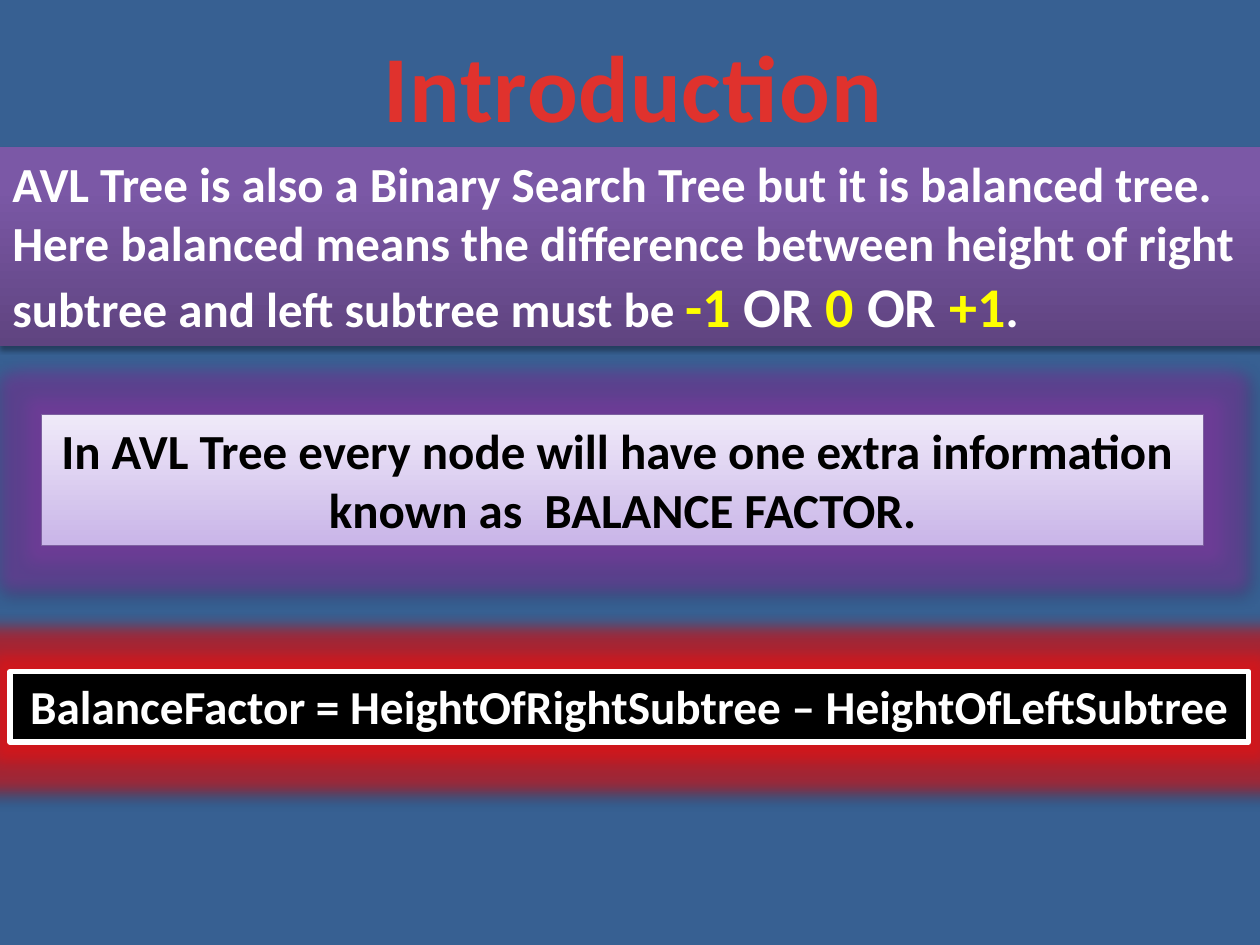
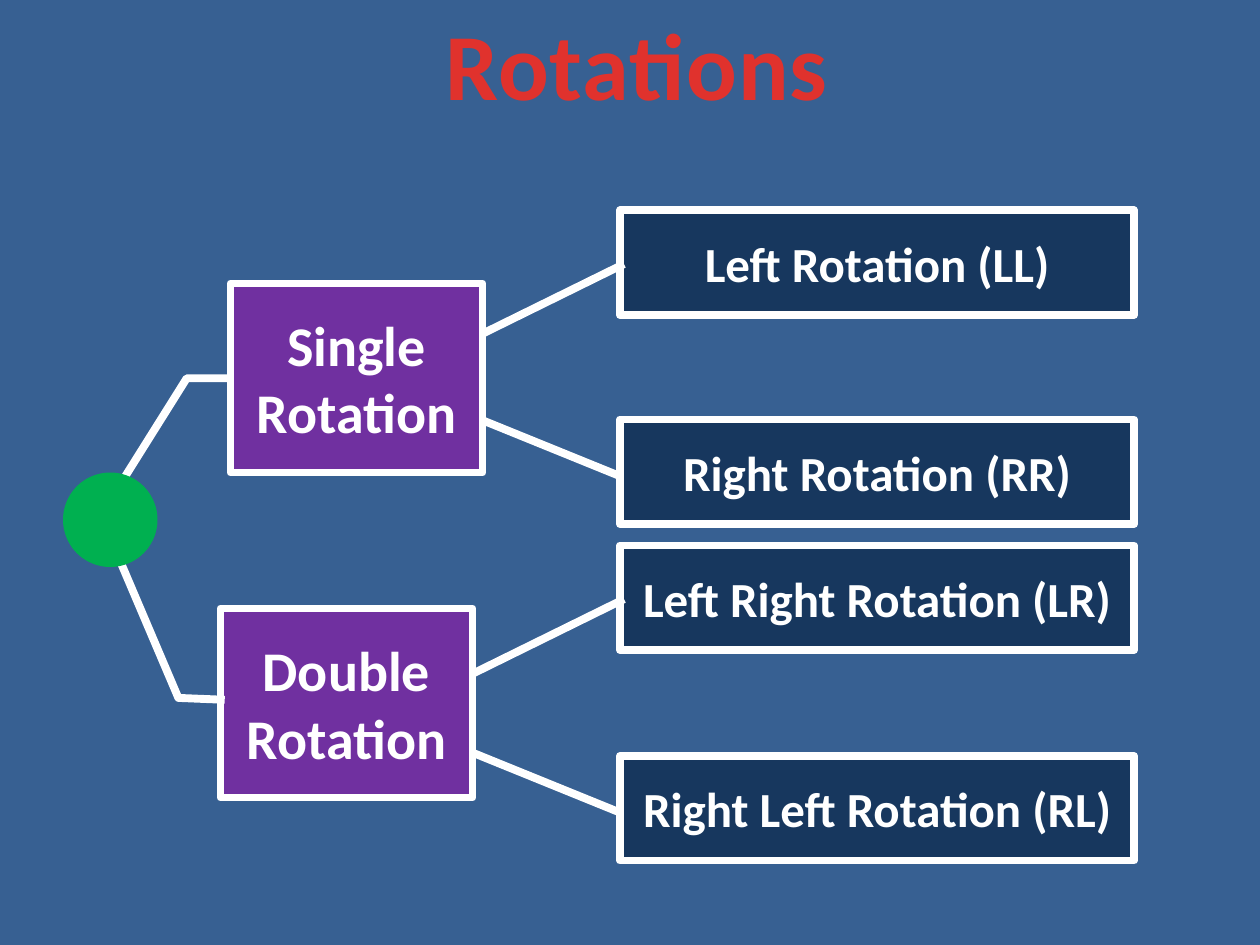
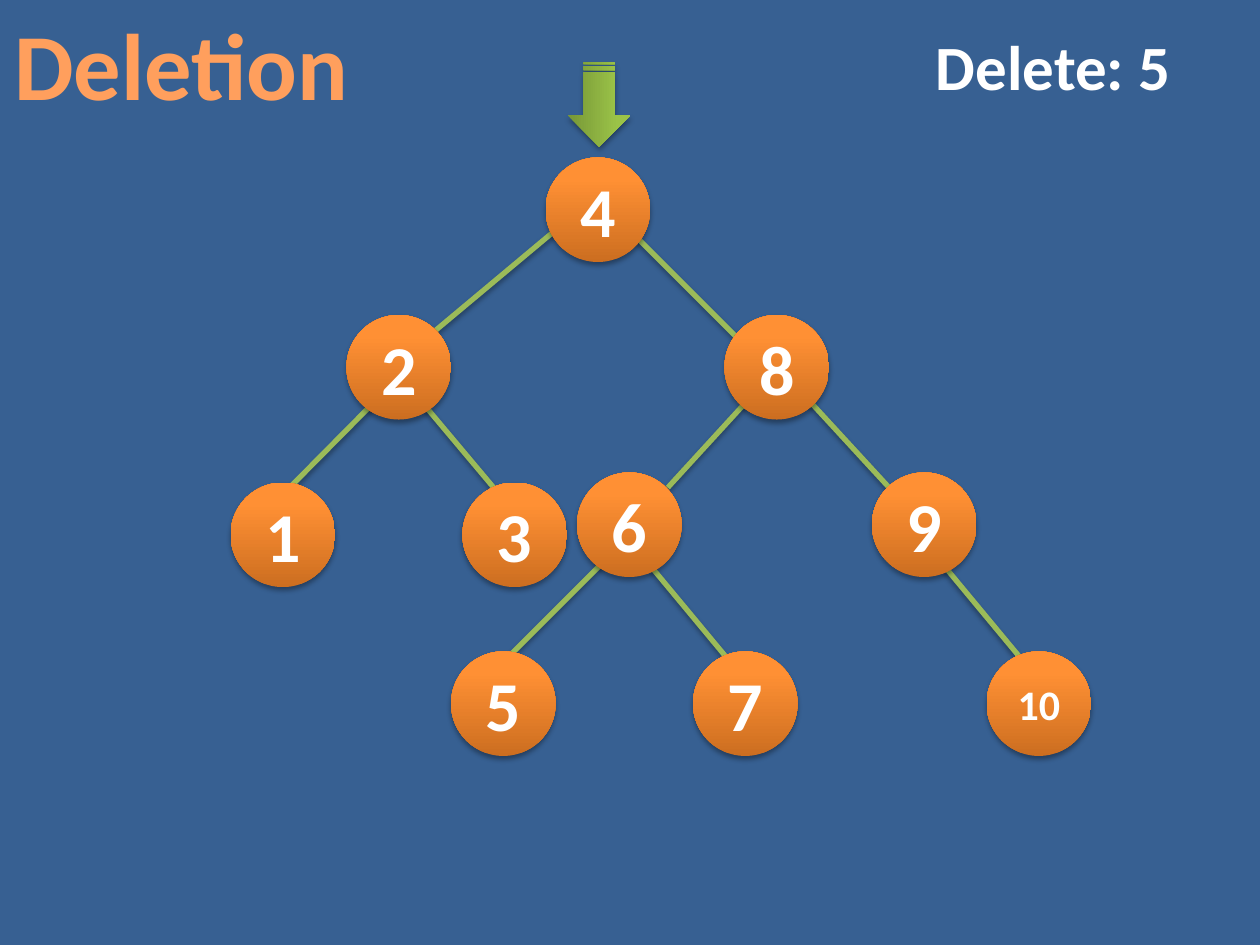
from dataclasses import dataclass
from typing import NamedTuple, Optional, Sequence, Union

import lxml.etree
import pptx
import pptx.dml.color
import pptx.enum.shapes
import pptx.enum.text
import pptx.oxml.ns
import pptx.util

Inches = pptx.util.Inches
Pt = pptx.util.Pt
RGBColor = pptx.dml.color.RGBColor
SHAPE = pptx.enum.shapes.MSO_SHAPE
ALIGN = pptx.enum.text.PP_ALIGN
ANCHOR = pptx.enum.text.MSO_ANCHOR
AUTO_SIZE = pptx.enum.text.MSO_AUTO_SIZE
qn = pptx.oxml.ns.qn

FONT = "Calibri"
BACKGROUND = RGBColor(0x37, 0x60, 0x92)
WHITE = RGBColor(0xFF, 0xFF, 0xFF)
BLACK = RGBColor(0x00, 0x00, 0x00)
YELLOW = RGBColor(0xFF, 0xFF, 0x00)
TITLE_RED = RGBColor(0xE0, 0x32, 0x2D)
TITLE_ORANGE = RGBColor(0xFF, 0x9F, 0x5D)
NAVY = RGBColor(0x17, 0x37, 0x5E)
PURPLE = RGBColor(0x70, 0x30, 0xA0)
ROOT_GREEN = RGBColor(0x00, 0xB0, 0x50)
EDGE_GREEN = RGBColor(0x9B, 0xBB, 0x59)
LILAC_BORDER = RGBColor(0x7D, 0x60, 0xA0)
GLOW_PURPLE = RGBColor(0x7A, 0x3C, 0xA0)
GLOW_RED = RGBColor(0xF0, 0x10, 0x10)


class Gradient(NamedTuple):
    """Colours from bottom to top; the top colour is reached at `end`."""
    bottom: RGBColor
    top: RGBColor
    end: float = 0.8


PURPLE_GRADIENT = Gradient(RGBColor(0x5F, 0x44, 0x80), RGBColor(0x7B, 0x58, 0xA6))
LILAC_GRADIENT = Gradient(RGBColor(0xC9, 0xB5, 0xE8), RGBColor(0xF0, 0xEA, 0xF9), 1)
ORANGE_GRADIENT = Gradient(RGBColor(0xCC, 0x6E, 0x20), RGBColor(0xFF, 0x90, 0x34))
GREEN_GRADIENT = Gradient(RGBColor(0x77, 0x97, 0x37), RGBColor(0x9B, 0xC3, 0x48))


class Box(NamedTuple):
    left: float
    top: float
    width: float
    height: float


class Run(NamedTuple):
    text: str
    size: Optional[float] = None
    color: Optional[RGBColor] = None


class Shadow(NamedTuple):
    opacity: int
    blur: float
    distance: float


STRONG_SHADOW = Shadow(35, 3.1, 1.8)
SOFT_SHADOW = Shadow(38, 3.1, 1.6)

Line = Union[str, Sequence[Run]]


@dataclass
class Banner:
    box: Box
    lines: Sequence[Line]
    size: float
    color: RGBColor
    fill: Union[RGBColor, Gradient]
    shadow: Shadow
    align: int = ALIGN.CENTER
    border: Optional[RGBColor] = None
    border_width: float = 0
    glow: Optional[RGBColor] = None
    wrap: bool = False


@dataclass
class Callout:
    """A bordered box whose leader line is set by `leader`."""
    box: Box
    lines: Sequence[str]
    kind: int
    size: float
    fill: RGBColor
    leader: Sequence[float]


class Node(NamedTuple):
    label: str
    left: float
    top: float
    size: float = 40


class Edge(NamedTuple):
    x1: float
    y1: float
    x2: float
    y2: float


BANNERS = [
    Banner(
        Box(0, 1.17, 10.03, 1.58),
        [
            "AVL Tree is also a Binary Search Tree but it is balanced tree.",
            "Here balanced means the difference between height of right",
            [
                Run("subtree and left subtree must be "),
                Run("-1 ", 32, YELLOW),
                Run("OR", 32),
                Run(" 0 ", 32, YELLOW),
                Run("OR", 32),
                Run(" +1", 32, YELLOW),
                Run("."),
            ],
        ],
        28, WHITE, PURPLE_GRADIENT, STRONG_SHADOW, align=ALIGN.LEFT,
    ),
    Banner(
        Box(0.33, 3.29, 9.22, 1.04),
        ["In AVL Tree every node will have one extra information ",
         "known as  BALANCE FACTOR."],
        28, BLACK, LILAC_GRADIENT, SOFT_SHADOW,
        border=LILAC_BORDER, border_width=0.75, glow=GLOW_PURPLE,
    ),
    Banner(
        Box(0.08, 5.33, 9.83, 0.56),
        ["BalanceFactor = HeightOfRightSubtree – HeightOfLeftSubtree"],
        27, WHITE, BLACK, SOFT_SHADOW,
        border=WHITE, border_width=3, glow=GLOW_RED, wrap=True,
    ),
]

LEADER_DOWN = (0.513, 0.008, 1.382, -0.351)
LEADER_UP = (0.547, 0.003, -0.144, -0.343)
ROTATION_KINDS = [
    (6, "Right Left Rotation (RL)", LEADER_UP),
    (4.33, "Left Right Rotation (LR)", LEADER_DOWN),
    (3.33, "Right Rotation (RR)", LEADER_UP),
    (1.67, "Left Rotation (LL)", LEADER_DOWN),
]
CALLOUTS = [
    Callout(Box(4.92, top, 4.08, 0.83), [name], SHAPE.LINE_CALLOUT_1, 28, NAVY, leader)
    for top, name, leader in ROTATION_KINDS
] + [
    Callout(Box(1.83, 2.25, 2, 1.5), ["Single", "Rotation"], SHAPE.LINE_CALLOUT_2,
            32, PURPLE, (0.502, -0.005, 0.502, -0.174, 1.125, -0.467)),
    Callout(Box(1.75, 4.83, 2, 1.5), ["Double", "Rotation"], SHAPE.LINE_CALLOUT_2,
            32, PURPLE, (0.483, 0.017, 0.473, -0.167, -0.332, -0.424)),
]

NODE_SIZE = 0.83
NODES = [
    Node("1", 1.83, 3.83),
    Node("2", 2.75, 2.5),
    Node("3", 3.67, 3.83),
    Node("4", 4.33, 1.25),
    Node("8", 5.75, 2.5),
    Node("5", 3.58, 5.17),
    Node("6", 4.58, 3.75),
    Node("7", 5.5, 5.17),
    Node("9", 6.92, 3.75),
    Node("10", 7.83, 5.17, 24),
]
EDGES = [
    Edge(6.33, 3.08, 7.25, 4.08),
    Edge(6.17, 2.92, 5.3, 3.87),
    Edge(3.08, 3.08, 2.17, 4),
    Edge(4.5, 1.75, 3.46, 2.62),
    Edge(3.33, 3.17, 4.17, 4.17),
    Edge(5, 1.83, 6, 2.83),
    Edge(4.83, 4.42, 3.92, 5.33),
    Edge(5.17, 4.5, 6, 5.5),
    Edge(7.5, 4.5, 8.33, 5.5),
]


def write_text(shape, lines: Sequence[Line], *, size: float, color: RGBColor = WHITE,
               align: int = ALIGN.CENTER, anchor: int = ANCHOR.MIDDLE,
               wrap: bool = True, grow: bool = False, spacing: float = 0) -> None:
    frame = shape.text_frame
    frame.word_wrap = wrap
    frame.auto_size = AUTO_SIZE.SHAPE_TO_FIT_TEXT if grow else AUTO_SIZE.NONE
    frame.vertical_anchor = anchor
    for index, line in enumerate(lines):
        paragraph = frame.add_paragraph() if index else frame.paragraphs[0]
        paragraph.alignment = align
        for part in [Run(line)] if isinstance(line, str) else line:
            run = paragraph.add_run()
            run.text = part.text
            run.font.name = FONT
            run.font.bold = True
            run.font.size = Pt(part.size or size)
            run.font.color.rgb = part.color or color
            if spacing:
                run.font._element.set("spc", str(int(spacing * 100)))


def add_effects(shape, shadow: Shadow, glow: Optional[RGBColor] = None) -> None:
    """Give a shape or connector a shadow below it and, if asked, a glow."""
    properties = shape._element.spPr
    effects = properties.find(qn("a:effectLst"))
    if effects is None:
        effects = lxml.etree.SubElement(properties, qn("a:effectLst"))

    def add_effect(tag: str, color: RGBColor, opacity: int, **settings: str) -> None:
        effect = lxml.etree.SubElement(effects, qn(tag), settings)
        tint = lxml.etree.SubElement(effect, qn("a:srgbClr"), val=str(color))
        lxml.etree.SubElement(tint, qn("a:alpha"), val=str(opacity * 1000))

    if glow is not None:
        add_effect("a:glow", glow, 60, rad=str(Pt(18)))
    add_effect("a:outerShdw", BLACK, shadow.opacity, blurRad=str(Pt(shadow.blur)),
               dist=str(Pt(shadow.distance)), dir="5400000", rotWithShape="0")


def add_filled_shape(slide, kind: int, box: Box, fill: Union[RGBColor, Gradient],
                     border: Optional[RGBColor] = None, border_width: float = 0):
    shape = slide.shapes.add_shape(kind, *map(Inches, box))
    shape.shadow.inherit = False
    if isinstance(fill, Gradient):
        shape.fill.gradient()
        shape.fill.gradient_angle = 90
        first, last = shape.fill.gradient_stops
        first.color.rgb, first.position = fill.bottom, 0
        last.color.rgb, last.position = fill.top, fill.end
    else:
        shape.fill.solid()
        shape.fill.fore_color.rgb = fill
    if border is None:
        shape.line.fill.background()
    else:
        shape.line.color.rgb = border
        shape.line.width = Pt(border_width)
    return shape


def add_titled_slide(presentation, title: str, box: Box, color: RGBColor,
                     spacing: float = 0):
    slide = presentation.slides.add_slide(presentation.slide_layouts[5])
    shape = slide.shapes.title
    shape.left, shape.top, shape.width, shape.height = map(Inches, box)
    write_text(shape, [title], size=54, color=color, anchor=ANCHOR.TOP,
               wrap=False, grow=True, spacing=spacing)
    return slide


def add_banner(slide, banner: Banner) -> None:
    shape = add_filled_shape(slide, SHAPE.RECTANGLE, banner.box, banner.fill,
                             banner.border, banner.border_width)
    add_effects(shape, banner.shadow, banner.glow)
    write_text(shape, banner.lines, size=banner.size, color=banner.color,
               align=banner.align, anchor=ANCHOR.TOP, wrap=banner.wrap, grow=True)


def add_callout(slide, callout: Callout) -> None:
    shape = add_filled_shape(slide, callout.kind, callout.box, callout.fill, WHITE, 4.5)
    for index, value in enumerate(callout.leader):
        shape.adjustments[index] = value
    write_text(shape, callout.lines, size=callout.size)


def add_edge(slide, edge: Edge) -> None:
    connector = slide.shapes.add_connector(
        pptx.enum.shapes.MSO_CONNECTOR.STRAIGHT, *map(Inches, edge))
    connector.line.color.rgb = EDGE_GREEN
    connector.line.width = Pt(3)
    add_effects(connector, STRONG_SHADOW)


def add_node(slide, node: Node) -> None:
    box = Box(node.left, node.top, NODE_SIZE, NODE_SIZE)
    shape = add_filled_shape(slide, SHAPE.OVAL, box, ORANGE_GRADIENT)
    add_effects(shape, STRONG_SHADOW)
    write_text(shape, [node.label], size=node.size)


def build_introduction(presentation) -> None:
    slide = add_titled_slide(presentation, "Introduction", Box(2.92, 0.17, 4.21, 1.01),
                             TITLE_RED, spacing=0.5)
    for banner in BANNERS:
        add_banner(slide, banner)


def build_rotations(presentation) -> None:
    slide = add_titled_slide(presentation, "Rotations", Box(3.42, 0, 3.27, 1.01),
                             TITLE_RED, spacing=0.5)
    for callout in CALLOUTS:
        add_callout(slide, callout)
    add_filled_shape(slide, SHAPE.OVAL, Box(0.5, 3.75, 0.75, 0.75), ROOT_GREEN)


def build_deletion(presentation) -> None:
    slide = add_titled_slide(presentation, "Deletion", Box(0, 0, 2.88, 1.01),
                             TITLE_ORANGE)
    for edge in EDGES:
        add_edge(slide, edge)
    for node in NODES:
        add_node(slide, node)
    task = slide.shapes.add_textbox(*map(Inches, Box(7.33, 0.17, 2.08, 0.71)))
    write_text(task, ["Delete: 5"], size=36, align=ALIGN.LEFT, anchor=ANCHOR.TOP,
               wrap=False, grow=True)
    arrow = add_filled_shape(slide, SHAPE.STRIPED_RIGHT_ARROW,
                             Box(4.42, 0.58, 0.67, 0.5), GREEN_GRADIENT)
    arrow.rotation = 90
    add_effects(arrow, STRONG_SHADOW)


def main() -> None:
    presentation = pptx.Presentation()
    presentation.slide_width = Inches(10)
    presentation.slide_height = Inches(7.5)
    background = presentation.slide_master.background.fill
    background.solid()
    background.fore_color.rgb = BACKGROUND
    build_introduction(presentation)
    build_rotations(presentation)
    build_deletion(presentation)
    presentation.save("out.pptx")


if __name__ == "__main__":
    main()
